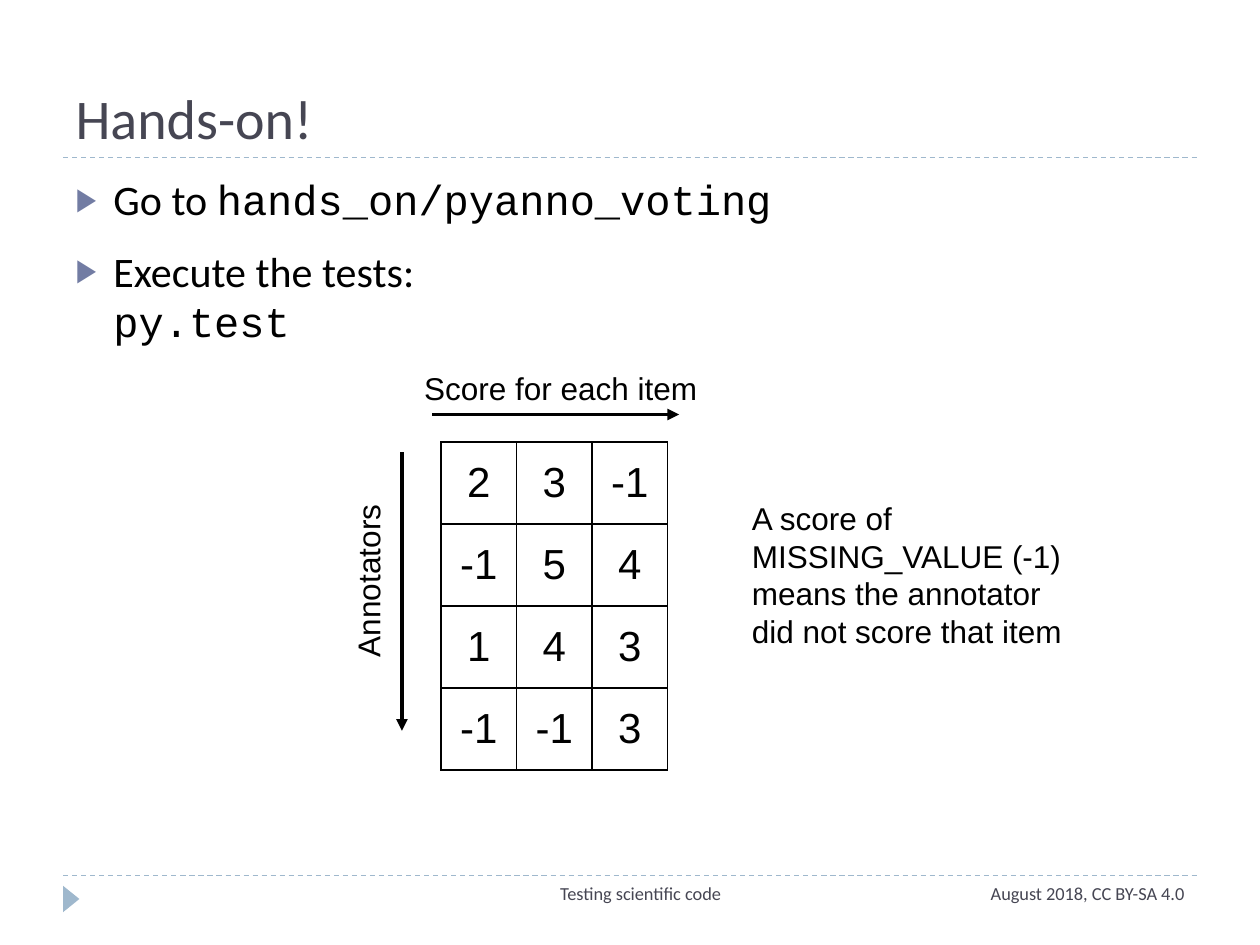
from lxml import etree
from pptx import Presentation
from pptx.dml.color import RGBColor
from pptx.enum import dml, shapes, text
from pptx.oxml import ns
from pptx.util import Inches, Pt

BLACK, SLATE, PALE_BLUE, BULLET = "000000", "464653", "9FB8CD", "727CA3"
SANS, BODY, CODE = "Arial", "Calibri", "Courier New"
LEFT, CENTER, RIGHT = text.PP_ALIGN.LEFT, text.PP_ALIGN.CENTER, text.PP_ALIGN.RIGHT

TITLE = "Hands-on!"
STEPS = [
    [("Go to ", BODY), ("hands_on/pyanno_voting", CODE)],
    [("Execute the tests:\n", BODY), ("py.test", CODE)],
]
SCORES = [(2, 3, -1), (-1, 5, 4), (1, 4, 3), (-1, -1, 3)]
FOOTERS = [
    ("August 2018, CC BY-SA 4.0", (7, 6.95, 2.5, 0.4), RIGHT),
    ("Testing scientific code", (3.17, 6.95, 3.83, 0.4), CENTER),
]
LABELS = [
    ("Annotators", (1.82, 4.41, 2.2, 0.4), CENTER, 270),
    ("Score for each item", (3.11, 2.88, 2.68, 0.4), CENTER, 0),
    ("A score of MISSING_VALUE (-1) means the annotator did not score that item",
     (5.87, 3.91, 2.76, 1.31), LEFT, 0),
]
RULES = [6.95, 1.25]
ARROWS = [(3.43, 3.29, 5.39, 3.29), (3.19, 3.59, 3.19, 5.8)]
TABLE_LEFT, TABLE_TOP, COLUMN, ROW = 3.5, 3.51, 0.6, 0.65


def rgb(color):
    return RGBColor.from_string(color)


def add_xml(parent, tag, **attributes):
    return etree.SubElement(parent, ns.qn(tag), attributes)


def write(paragraph, content, font=BODY, size=24, color=BLACK, align=LEFT):
    """Append text to a paragraph, turning newlines into line breaks."""
    paragraph.alignment = align
    for number, line in enumerate(content.split("\n")):
        if number:
            paragraph.add_line_break()
        if line:
            run = paragraph.add_run()
            run.text = line
            run.font.name, run.font.size = font, Pt(size)
            run.font.color.rgb = rgb(color)


def place(shape, box):
    shape.left, shape.top, shape.width, shape.height = map(Inches, box)


def add_text(slide, content, box, rotation=0, **style):
    area = slide.shapes.add_textbox(*map(Inches, box))
    area.rotation = rotation
    area.text_frame.word_wrap = True
    write(area.text_frame.paragraphs[0], content, **style)


def add_line(slide, ends, color, width):
    line = slide.shapes.add_connector(shapes.MSO_CONNECTOR.STRAIGHT, *map(Inches, ends))
    line.line.color.rgb = rgb(color)
    line.line.width = Pt(width)
    add_xml(line._element.spPr, "a:effectLst")
    return line.line


def add_bullet(paragraph):
    properties = paragraph._p.get_or_add_pPr()
    indent = Inches(0.3)
    properties.set("marL", str(indent))
    properties.set("indent", str(-indent))
    add_xml(add_xml(properties, "a:buClr"), "a:srgbClr", val=BULLET)
    add_xml(properties, "a:buSzPct", val="76000")
    add_xml(properties, "a:buFont", typeface=SANS)
    add_xml(properties, "a:buChar", char="▶")


def add_borders(cell):
    properties = cell._tc.get_or_add_tcPr()
    for side in ("a:lnL", "a:lnR", "a:lnT", "a:lnB"):
        border = add_xml(properties, side, w=str(Pt(1)))
        add_xml(add_xml(border, "a:solidFill"), "a:srgbClr", val=BLACK)


def add_frame(slide):
    """Draw the dashed rules, the corner marker and the footers."""
    for y in RULES:
        add_line(slide, (0.5, y, 9.5, y), PALE_BLUE, 0.75).dash_style = dml.MSO_LINE.DASH
    marker = slide.shapes.add_shape(
        shapes.MSO_SHAPE.ISOSCELES_TRIANGLE, *map(Inches, (0.46, 7.07, 0.21, 0.13)))
    marker.rotation = 90
    marker.shadow.inherit = False
    marker.fill.solid()
    marker.fill.fore_color.rgb = rgb(PALE_BLUE)
    marker.line.fill.background()
    for content, box, align in FOOTERS:
        add_text(slide, content, box, size=10.5, color=SLATE, align=align)


def fill_placeholders(slide):
    title, body = slide.placeholders
    place(title, (0.5, 0.17, 9, 1.08))
    title.text_frame.vertical_anchor = text.MSO_ANCHOR.BOTTOM
    write(title.text_frame.paragraphs[0], TITLE, size=32, color=SLATE)

    place(body, (0.5, 1.33, 9, 5.4))
    frame = body.text_frame
    for number, step in enumerate(STEPS):
        paragraph = frame.add_paragraph() if number else frame.paragraphs[0]
        paragraph.space_before = Pt(12 if number else 0)
        add_bullet(paragraph)
        for content, font in step:
            write(paragraph, content, font=font)
    for holder in (title, body):
        holder.text_frame.auto_size = text.MSO_AUTO_SIZE.NONE


def add_scores(slide):
    rows, columns = len(SCORES), len(SCORES[0])
    box = (TABLE_LEFT, TABLE_TOP, columns * COLUMN, rows * ROW)
    table = slide.shapes.add_table(rows, columns, *map(Inches, box)).table
    table.first_row = table.horz_banding = False
    for r, scores in enumerate(SCORES):
        for c, score in enumerate(scores):
            cell = table.cell(r, c)
            add_borders(cell)
            cell.fill.background()
            cell.vertical_anchor = text.MSO_ANCHOR.MIDDLE
            write(cell.text_frame.paragraphs[0], str(score), font=SANS, align=CENTER)


def main():
    deck = Presentation()
    deck.slide_width, deck.slide_height = Inches(10), Inches(7.5)
    slide = deck.slides.add_slide(deck.slide_layouts[1])
    add_frame(slide)
    fill_placeholders(slide)
    add_scores(slide)
    for ends in ARROWS:
        arrow = add_line(slide, ends, BLACK, 2.25)
        add_xml(arrow._get_or_add_ln(), "a:tailEnd", type="triangle")
    for content, box, align, rotation in LABELS:
        add_text(slide, content, box, rotation, font=SANS, size=18, align=align)
    deck.save("out.pptx")


if __name__ == "__main__":
    main()
